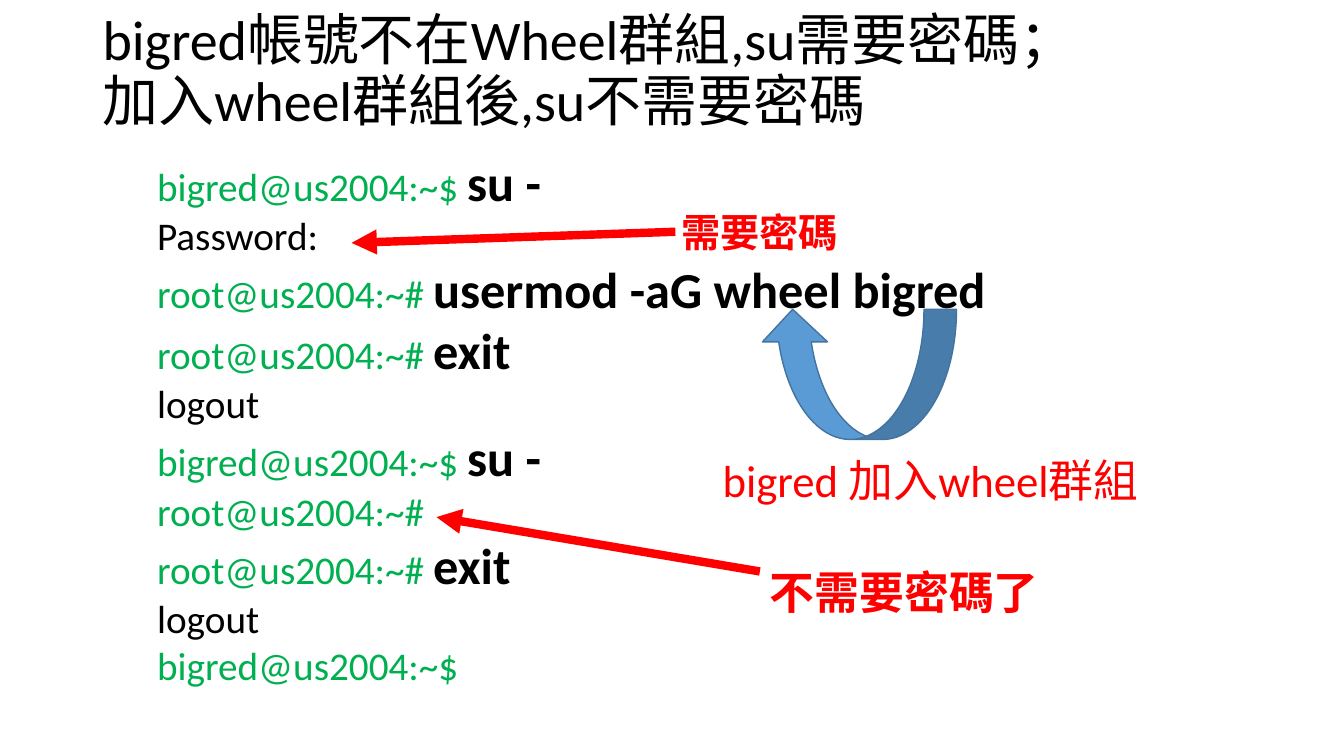
import pptx
import pptx.util
import pptx.dml.color
import pptx.enum.shapes
import pptx.enum.text
import pptx.oxml

Cm, Pt = pptx.util.Cm, pptx.util.Pt
RGB = pptx.dml.color.RGBColor.from_string
AUTO = pptx.enum.text.MSO_AUTO_SIZE
NS = 'xmlns:a="http://schemas.openxmlformats.org/drawingml/2006/main"'
HUES = {"ink": "000000", "green": "00B050", "red": "FF0000",
        "blue": "5B9BD5", "edge": "43739E"}


def style(font, size, hue, bold=False):
    font.name = "Calibri"
    font.size = Pt(size)
    font.bold = bold
    font.color.rgb = RGB(HUES[hue])


def add_box(x, y, w, h, wrap):
    frame = slide.shapes.add_textbox(Cm(x), Cm(y), Cm(w), Cm(h)).text_frame
    frame.word_wrap = wrap
    frame.auto_size = AUTO.SHAPE_TO_FIT_TEXT
    return frame


deck = pptx.Presentation()
deck.slide_width, deck.slide_height = Cm(33.87), Cm(19.05)
slide = deck.slides.add_slide(deck.slide_layouts[5])

# Title
title = slide.shapes.title
title.left, title.top, title.width, title.height = Cm(2.33), Cm(0), Cm(25.38), Cm(3.68)
title.text_frame.text = "bigred帳號不在Wheel群組,su需要密碼；加入wheel群組後,su不需要密碼"
title.text_frame.auto_size = AUTO.NONE
title.text_frame.vertical_anchor = pptx.enum.text.MSO_ANCHOR.MIDDLE
para = title.text_frame.paragraphs[0]
para.alignment = pptx.enum.text.PP_ALIGN.LEFT
para.line_spacing = 0.9
style(para.font, 40, "ink")

# Terminal session: prompt, command; output lines have no prompt
user, root = "bigred@us2004:~$", "root@us2004:~#"
lines = [
    (user + " ", "su -"),
    ("", "Password:"),
    (root + " ", "usermod -aG wheel bigred"),
    (root + " ", "exit"),
    ("", "logout"),
    (user + " ", "su -"),
    (root, ""),
    (root + " ", "exit"),
    ("", "logout"),
    (user, ""),
]
frame = add_box(3.71, 3.68, 26.42, 13.94, True)
for i, (prompt, words) in enumerate(lines):
    para = frame.paragraphs[0] if i == 0 else frame.add_paragraph()
    if prompt:
        run = para.add_run()
        run.text = prompt
        style(run.font, 28, "green")
    if words:
        run = para.add_run()
        run.text = words
        style(run.font, 36 if prompt else 28, "ink", bool(prompt))

# Curved arrow from user to group
curve = slide.shapes.add_shape(pptx.enum.shapes.MSO_SHAPE.CURVED_LEFT_ARROW,
                               Cm(19.99), Cm(6.96), Cm(3.28), Cm(4.95))
curve.rotation = 90
curve.shadow.inherit = False
curve.fill.solid()
curve.fill.fore_color.rgb = RGB(HUES["blue"])
curve.line.color.rgb = RGB(HUES["edge"])
curve.line.width = Pt(1)

# Red arrows
for ends in [(17.02, 5.84, 8.86, 6.12), (19.15, 14.4, 11, 13.03)]:
    arrow = slide.shapes.add_connector(pptx.enum.shapes.MSO_CONNECTOR.STRAIGHT,
                                       *[Cm(v) for v in ends])
    arrow.line.color.rgb = RGB(HUES["red"])
    arrow.line.width = Pt(6)
    arrow.line._get_or_add_ln().append(
        pptx.oxml.parse_xml(f'<a:tailEnd {NS} type="triangle"/>'))
    arrow._element.spPr.append(pptx.oxml.parse_xml(f"<a:effectLst {NS}/>"))

# Red notes
notes = [
    ("需要密碼", (16.92, 5.13, 4.5, 1.45), 28, True, False),
    ("bigred 加入wheel群組", (17.96, 11.28, 11.1, 1.63), 32, False, True),
    ("不需要密碼了", (19.15, 14.1, 7.34, 1.63), 32, True, False),
]
for words, place, size, bold, wrap in notes:
    frame = add_box(*place, wrap)
    frame.text = words
    style(frame.paragraphs[0].font, size, "red", bold)

deck.save("out.pptx")
